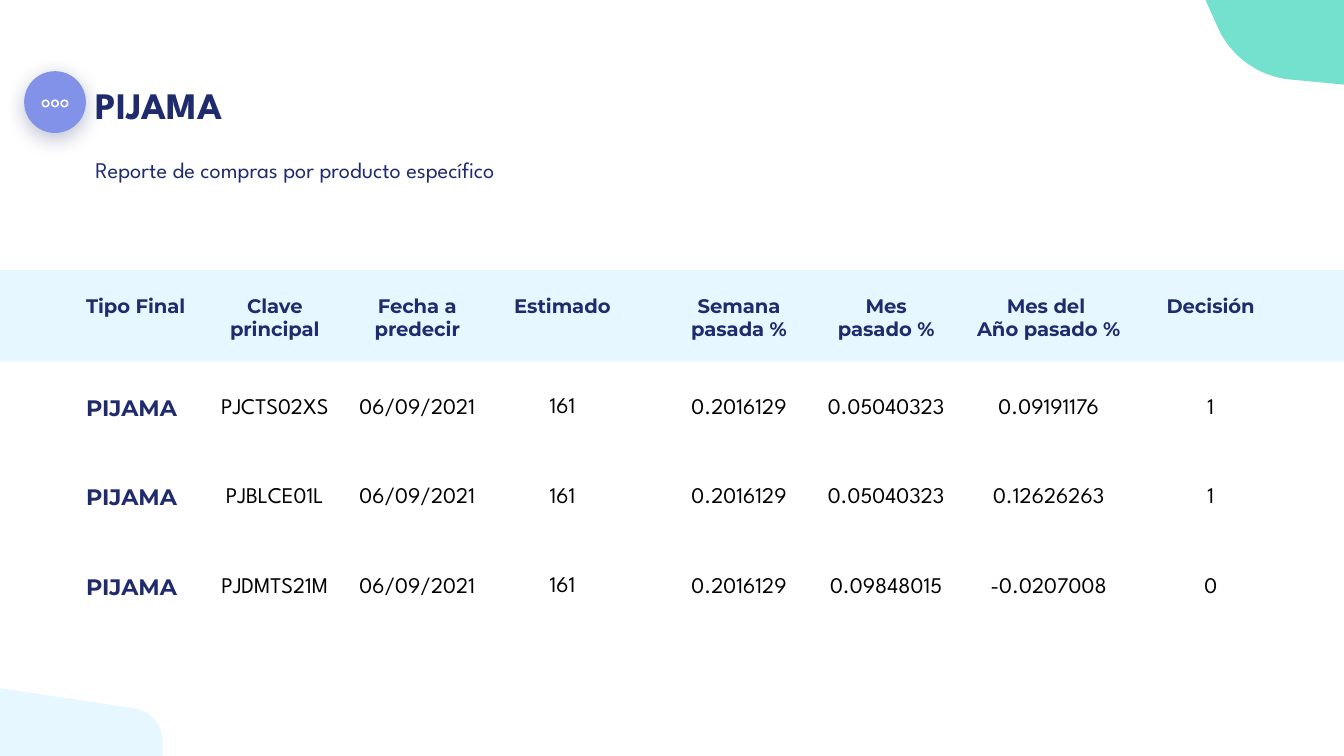
from lxml.etree import SubElement
from pptx import Presentation
from pptx.dml.color import RGBColor
from pptx.enum.shapes import MSO_SHAPE
from pptx.enum.text import MSO_ANCHOR, MSO_AUTO_SIZE, PP_ALIGN
from pptx.oxml.ns import qn
from pptx.util import Inches, Pt

NAVY, PALE, MINT, BLUE, WHITE = "1F2B6C", "E7F7FF", "73E1CD", "8292E8", "FFFFFF"
HEAD, BODY = "Montserrat", "League Spartan"
NO_GRID = "{2D5ABB26-0587-4C30-8999-92F81FD0307C}"
COLS = [1.01, 0.99, 1.13, 1.03, 0.23, 1.12, 1.07, 1.35, 1.06]
ROWS = [0.63, 0.64, 0.69, 0.64]
DATA = [
    ["Tipo Final", "Clave principal", "Fecha a predecir", "Estimado", "",
     "Semana pasada %", "Mes pasado %", "Mes del \nAño pasado %", "Decisión"],
    ["PIJAMA", "PJCTS02XS", "06/09/2021", "161", "",
     "0.2016129", "0.05040323", "0.09191176", "1"],
    ["PIJAMA", "PJBLCE01L", "06/09/2021", "161", "",
     "0.2016129", "0.05040323", "0.12626263", "1"],
    ["PIJAMA", "PJDMTS21M", "06/09/2021", "161", "",
     "0.2016129", "0.09848015", "-0.0207008", "0"],
]


def color(text):
    return RGBColor.from_string(text)


def paint(shape, fill):
    shape.shadow.inherit = False
    shape.fill.solid()
    shape.fill.fore_color.rgb = color(fill)
    shape.line.fill.background()
    return shape


def add_form(slide, kind, box, fill):
    return paint(slide.shapes.add_shape(kind, *map(Inches, box)), fill)


def write(frame, text, size=12, font=BODY, fill=NAVY, bold=False,
          align=PP_ALIGN.LEFT, after=0, line=1.0, more=False):
    for i, words in enumerate(text.split("\n")):
        para = frame.add_paragraph() if i or more else frame.paragraphs[0]
        para.alignment = align
        para.space_before, para.space_after = Pt(0), Pt(after)
        para.line_spacing = line
        run = para.add_run()
        run.text = words
        run.font.size, run.font.name, run.font.bold = Pt(size), font, bold
        run.font.color.rgb = color(fill)


def curve(a, b, c, d, steps=24):
    for i in range(1, steps + 1):
        t = i / steps
        u = 1 - t
        yield tuple(u**3 * p + 3 * u * u * t * q + 3 * u * t * t * r + t**3 * s
                    for p, q, r, s in zip(a, b, c, d))


def add_corner(slide, box, start, bend, end, fill):
    left, top = box
    points = [(Inches(left + x), Inches(top + y))
              for x, y in [*start, *curve(start[-1], *bend), end]]
    form = slide.shapes.build_freeform(*points[0], scale=1.0)
    form.add_line_segments(points[1:], close=True)
    paint(form.convert_to_shape(), fill)


def add_badge(slide, left, top, size):
    disc = add_form(slide, MSO_SHAPE.OVAL, (left, top, size, size), BLUE)
    effects = disc._element.spPr.find(qn("a:effectLst"))
    shade = SubElement(effects, qn("a:outerShdw"), blurRad=str(Pt(11.2)),
                       dist=str(Pt(3)), dir="5400000", algn="bl", rotWithShape="0")
    tint = SubElement(shade, qn("a:srgbClr"), val=NAVY)
    SubElement(tint, qn("a:alpha"), val="29000")
    for i in range(3):
        ring = add_form(slide, MSO_SHAPE.DONUT,
                        (left + 0.13 + 0.07 * i, top + 0.21, 0.06, 0.06), WHITE)
        ring.adjustments[0] = 0.2


def add_title(slide, box):
    title = slide.shapes.title
    title.left, title.top, title.width, title.height = map(Inches, box)
    frame = title.text_frame
    frame.word_wrap, frame.auto_size = True, MSO_AUTO_SIZE.NONE
    frame.vertical_anchor = MSO_ANCHOR.TOP
    frame.margin_left = frame.margin_right = Inches(0.1)
    frame.margin_top = frame.margin_bottom = Inches(0.1)
    write(frame, "PIJAMA", size=20, bold=True, after=16)
    write(frame, "Reporte de compras por producto específico", after=16, more=True)


def fill_cell(cell, text, row, col):
    cell.fill.background()
    wide = row == 0 or col in (0, 3)
    pad = Inches(0.1 if wide else 0.01)
    cell.margin_left = cell.margin_right = cell.margin_top = pad
    cell.margin_bottom = pad if wide else 0
    cell.vertical_anchor = MSO_ANCHOR.MIDDLE if row else MSO_ANCHOR.TOP
    strong = row == 0 or col == 0
    if text:
        write(cell.text_frame, text, size=12 if row else 10.5,
              font=HEAD if strong else BODY, fill=NAVY if strong else "000000",
              bold=strong, align=PP_ALIGN.CENTER if col else PP_ALIGN.LEFT)


def add_report(slide, left, top):
    add_form(slide, MSO_SHAPE.RECTANGLE, (0, top - 0.08, 10, 0.68), PALE)
    box = map(Inches, (left, top, sum(COLS), sum(ROWS)))
    frame = slide.shapes.add_table(len(ROWS), len(COLS), *box)
    table = frame.table
    table.first_row = table.horz_banding = False
    table._tbl.tblPr.find(qn("a:tableStyleId")).text = NO_GRID
    for col, width in zip(table.columns, COLS):
        col.width = Inches(width)
    for i, (height, words) in enumerate(zip(ROWS, DATA)):
        table.rows[i].height = Inches(height)
        for j, text in enumerate(words):
            fill_cell(table.cell(i, j), text, i, j)


def main():
    deck = Presentation()
    deck.slide_width = Inches(10)
    deck.slide_height = deck.slide_width * 9 // 16
    slide = deck.slides.add_slide(deck.slide_layouts[5])
    add_corner(slide, (0, 5.12), [(0, 0), (0, 0.51), (1.21, 0.51), (1.21, 0.4)],
               [(1.21, 0.27), (1.12, 0.17), (0.99, 0.15)], (0, 0), PALE)
    add_corner(slide, (8.97, 0), [(1.03, 0.63), (1.03, 0), (0, 0), (0.09, 0.2)],
               [(0.18, 0.41), (0.38, 0.56), (0.61, 0.59)], (1.03, 0.63), MINT)
    add_report(slide, 0.54, 2.09)
    add_badge(slide, 0.18, 0.53, 0.46)
    add_title(slide, (0.61, 0.51, 4.66, 0.63))
    deck.save("out.pptx")


if __name__ == "__main__":
    main()
